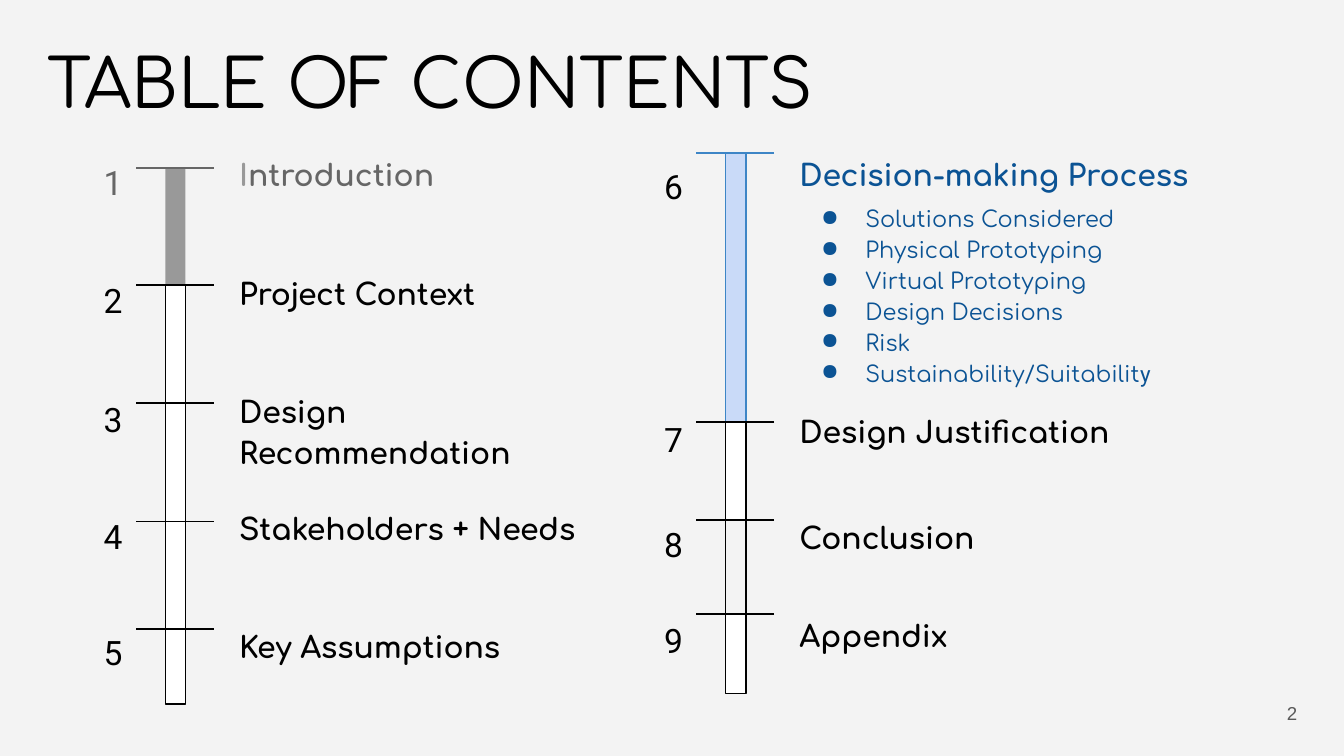
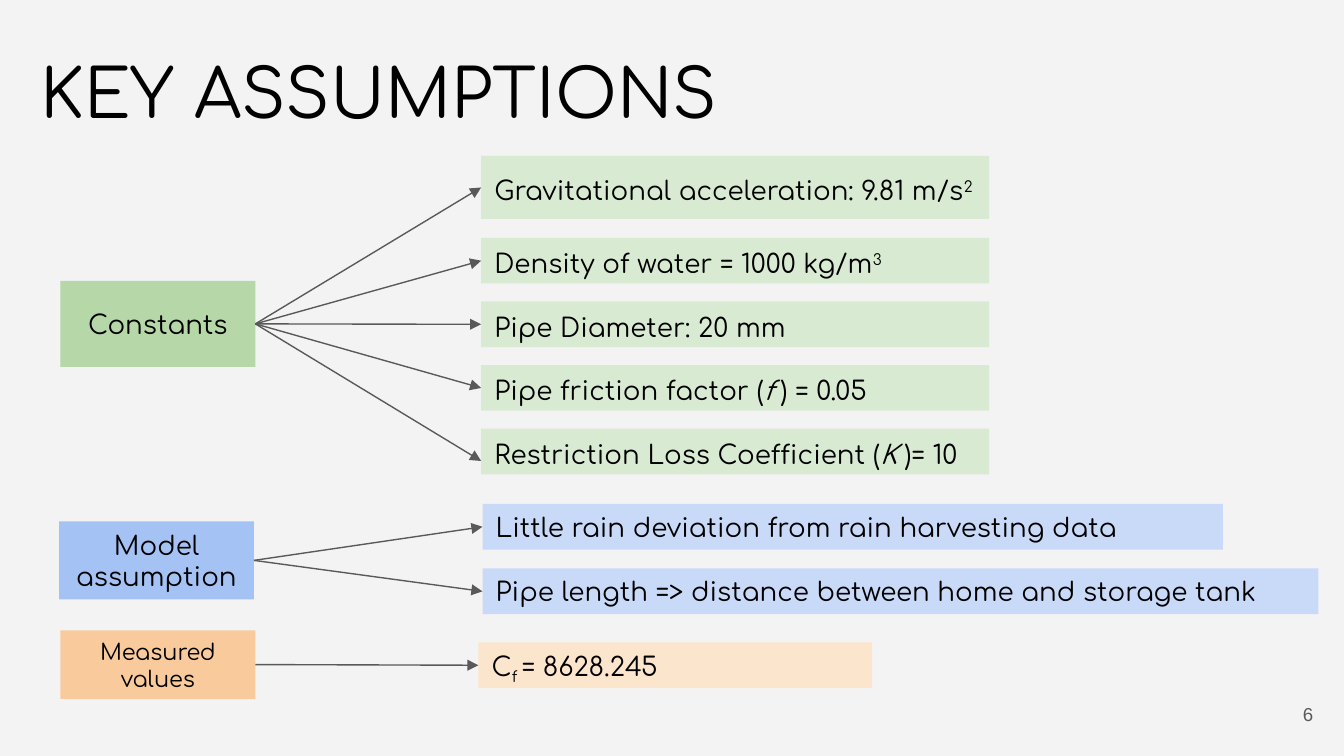
from pptx import Presentation
from pptx.dml.color import RGBColor
from pptx.enum.shapes import MSO_CONNECTOR, MSO_SHAPE
from pptx.enum.text import MSO_ANCHOR, MSO_AUTO_SIZE, PP_ALIGN
from pptx.oxml.ns import qn
from pptx.util import Inches, Pt
from lxml.etree import SubElement

HUES = {
    "back": "F3F3F3", "black": "000000", "white": "FFFFFF",
    "ash": "999999", "gray": "666666", "dark": "595959",
    "navy": "0B5394", "edge": "3D85C6", "sky": "C9DAF8", "blue": "A4C2F4",
    "leaf": "B6D7A8", "mint": "D9EAD3", "clay": "F9CB9C", "sand": "FCE5CD",
}
FACE = "Comfortaa"


def hue(name):
    return RGBColor.from_string(HUES[name])


class Deck:
    def __init__(self):
        self.prs = Presentation()
        self.prs.slide_width = Inches(10)
        self.prs.slide_height = Inches(5.625)
        self.slide = None

    def start(self, title, box, page, spot):
        self.slide = self.prs.slides.add_slide(self.prs.slide_layouts[5])
        fill = self.slide.background.fill
        fill.solid()
        fill.fore_color.rgb = hue("back")
        head = self.slide.shapes.title
        head.left, head.top, head.width, head.height = map(Inches, box)
        self.letter(head, [title], 36, anchor=MSO_ANCHOR.MIDDLE)
        self.text([page], (*spot, 0.6, 0.43), 10, "dark", face="Arial",
                  align=PP_ALIGN.RIGHT, anchor=MSO_ANCHOR.MIDDLE)

    def letter(self, shape, paras, size, color="black", face=FACE, bold=False,
               align=PP_ALIGN.LEFT, anchor=MSO_ANCHOR.TOP, space=1.0, dot=False):
        frame = shape.text_frame
        frame.word_wrap = True
        frame.auto_size = MSO_AUTO_SIZE.NONE
        frame.vertical_anchor = anchor
        frame.margin_left = frame.margin_right = Inches(0.1)
        frame.margin_top = frame.margin_bottom = Inches(0.1)
        for i, parts in enumerate(paras):
            para = frame.add_paragraph() if i else frame.paragraphs[0]
            para.alignment = align
            para.line_spacing = space
            if dot:
                self.bullet(para, color)
            if isinstance(parts, str):
                parts = [(parts, {})]
            for words, look in parts:
                run = para.add_run()
                run.text = words
                font = run.font
                font.name = look.get("face", face)
                font.size = Pt(size)
                font.bold = bold
                font.italic = look.get("slant", False)
                font.color.rgb = hue(look.get("color", color))
                if "base" in look:
                    props = run._r.get_or_add_rPr()
                    props.set("baseline", str(look["base"] * 1000))

    def bullet(self, para, color):
        props = para._p.get_or_add_pPr()
        props.set("marL", str(Inches(0.5)))
        props.set("indent", str(-Inches(0.33)))
        tint = SubElement(props, qn("a:buClr"))
        SubElement(tint, qn("a:srgbClr"), val=HUES[color])
        SubElement(props, qn("a:buChar"), char="●")

    def text(self, paras, box, size, color="black", **look):
        shape = self.slide.shapes.add_textbox(*map(Inches, box))
        self.letter(shape, paras, size, color, **look)

    def rect(self, box, fill=None, edge=None):
        shape = self.slide.shapes.add_shape(
            MSO_SHAPE.RECTANGLE, *map(Inches, box))
        shape.shadow.inherit = False
        if fill:
            shape.fill.solid()
            shape.fill.fore_color.rgb = hue(fill)
        else:
            shape.fill.background()
        if edge:
            shape.line.color.rgb = hue(edge)
            shape.line.width = Pt(0.75)
        else:
            shape.line.fill.background()
        return shape

    def card(self, parts, box, fill, size=14, **look):
        shape = self.rect(box, fill)
        self.letter(shape, [parts], size, anchor=MSO_ANCHOR.MIDDLE, **look)
        return shape

    def line(self, ends, color):
        rule = self.slide.shapes.add_connector(
            MSO_CONNECTOR.STRAIGHT, *map(Inches, ends))
        rule.line.color.rgb = hue(color)
        rule.line.width = Pt(0.75)
        SubElement(rule._element.spPr, qn("a:effectLst"))
        return rule

    def arrow(self, left, right, drop=None):
        rule = self.line((0, 0, 1, 1), "dark")
        rule.begin_connect(left, 3)
        if drop is None:
            rule.end_connect(right, 1)
        else:
            rule.end_x, rule.end_y = right.left, Inches(drop)
        stroke = rule._element.spPr.get_or_add_ln()
        SubElement(stroke, qn("a:tailEnd"), type="triangle")

    def track(self, left, rows, end):
        stops = [row["y"] for row in rows[1:]] + [end]
        for row, stop in zip(rows, stops):
            y, top = row["y"], row["top"]
            self.rect((left + 1.05, y, 0.15, stop - y),
                      row.get("fill", "white"), row.get("edge", "black"))
            self.line((left + 1.41, y, left + 0.83, y), row.get("rule", "black"))
            self.text([row["name"]], (left + 1.5, top, row.get("wide", 2.98), 0.3),
                      16, row.get("ink", "black"), bold=True, space=1.15)
            self.text([row["num"]], (left, top + row.get("gap", 0.03), 0.83, 0.38),
                      18, row.get("tone", "black"), face="Roboto",
                      align=PP_ALIGN.RIGHT, space=1.15)


def contents(deck):
    deck.start("TABLE OF CONTENTS", (0.25, 0.15, 9.32, 0.92), "2", (9.15, 5.09))
    intro = [("I", {"color": "ash"}), ("ntroduction", {})]
    deck.track(0.18, [
        dict(num="1", name=intro, y=1.25, top=1.03, fill="ash", edge=None,
             rule="gray", ink="gray", tone="gray"),
        dict(num="2", name="Project Context", y=2.12, top=1.91),
        dict(num="3", name="Design Recommendation", y=3, top=2.79),
        dict(num="4", name="Stakeholders + Needs", y=3.88, top=3.66),
        dict(num="5", name="Key Assumptions", y=4.68, top=4.54, gap=0.02),
    ], 5.24)
    deck.track(4.35, [
        dict(num="6", name="Decision-making Process", y=1.14, top=1.03,
             fill="sky", edge="edge", rule="edge", ink="navy", wide=3.54, gap=0.06),
        dict(num="7", name="Design Justification", y=3.14, top=2.94),
        dict(num="8", name="Conclusion", y=3.87, top=3.73, fill=None, gap=0.02),
        dict(num="9", name="Appendix", y=4.57, top=4.46, gap=0.01),
    ], 5.16)
    steps = ["Solutions Considered", "Physical Prototyping", "Virtual Prototyping",
             "Design Decisions", "Risk",
             [("Sustainability/Suitabilit", {}), ("y", {"face": "Roboto"})]]
    deck.text(steps, (5.84, 1.4, 2.98, 2.04), 12, "navy", space=1.15, dot=True)


def assume(deck):
    deck.start("KEY ASSUMPTIONS", (0.2, 0.15, 9.71, 1.06), "6", (9.27, 5.1))
    mid = PP_ALIGN.CENTER
    fixed = deck.card("Constants", (0.45, 2.09, 1.45, 0.64), "leaf", align=mid)
    model = deck.card("Model assumption", (0.44, 3.88, 1.45, 0.58), "blue", align=mid)
    found = deck.card("Measured values", (0.45, 4.69, 1.45, 0.51), "clay", 12, align=mid)

    slant = {"slant": True}
    grav = [("Gravitational acceleration: 9.81 m/s", {}), ("2", {"base": 30})]
    facts = [
        [("Density of water = 1000 kg/m", {}), ("3", {"base": 30})],
        "Pipe Diameter: 20 mm",
        [("Pipe friction factor (", {}), ("f", slant), (" ) = 0.05", {})],
        [("Restriction Loss Coefficient (", {}), ("K ", slant), (")= 10", {})],
    ]
    deck.arrow(fixed, deck.card(grav, (3.58, 1.16, 3.78, 0.47), "mint", space=1.15))
    first, last = 1.77, 3.19
    for i, fact in enumerate(facts):
        top = first + (last - first) * i / 3
        card = deck.card(fact, (3.58, top, 3.78, 0.34), "mint", space=1.15)
        deck.arrow(fixed, card, 3.43 if i == 3 else None)

    for words, top, wide in [
        ("Little rain deviation from rain harvesting data", 3.75, 5.51),
        ("Pipe length => distance between home and storage tank", 4.23, 6.22),
    ]:
        deck.arrow(model, deck.card(words, (3.59, top, wide, 0.34), "sky"))

    flow = [("C", {}), ("f ", {"base": -25}), ("= 8628.245", {})]
    deck.arrow(found, deck.card(flow, (3.56, 4.78, 2.93, 0.34), "sand", space=1.15))


def main():
    deck = Deck()
    contents(deck)
    assume(deck)
    deck.prs.save("out.pptx")


if __name__ == "__main__":
    main()
